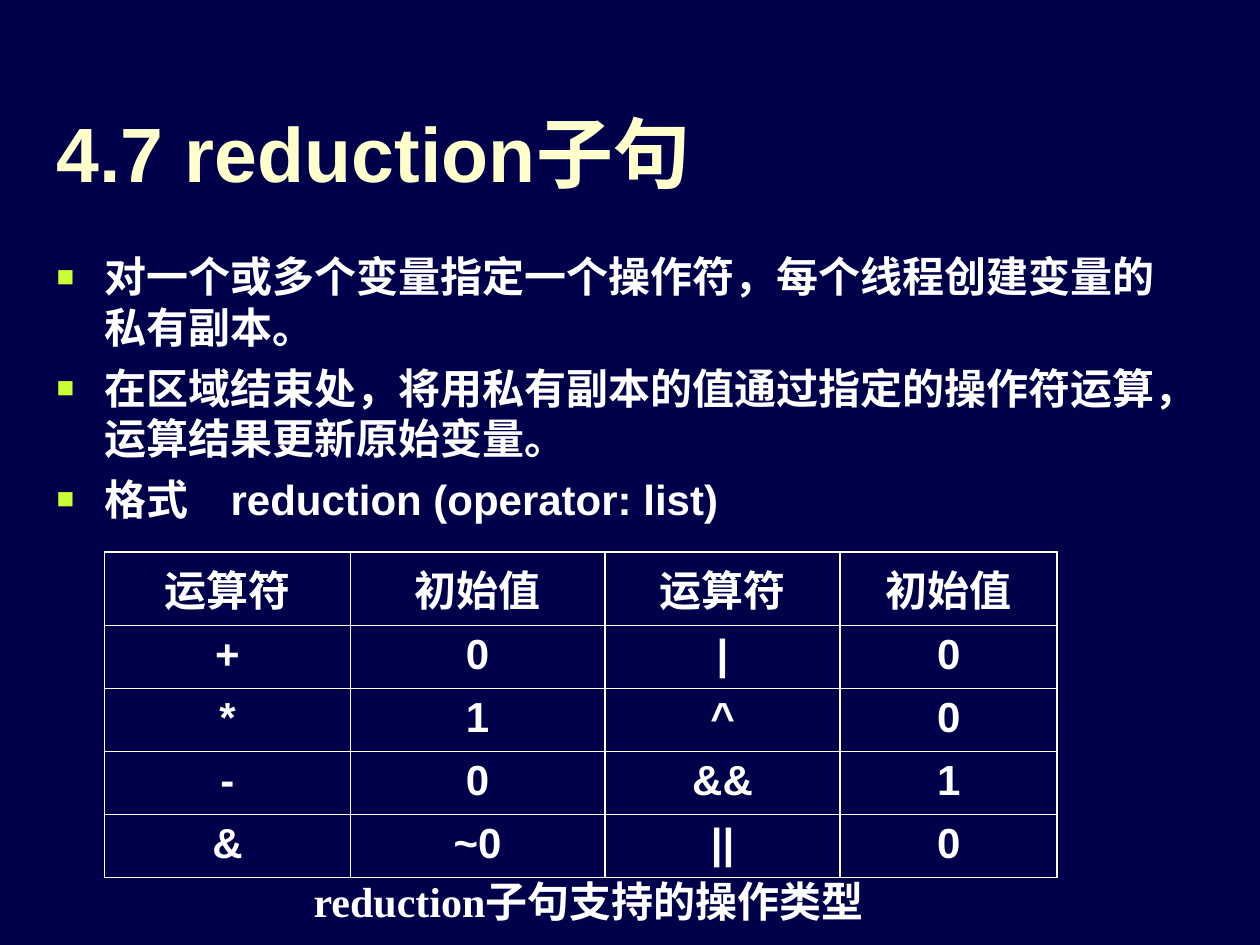
from lxml import etree
from pptx import Presentation
from pptx import util as u
from pptx.dml.color import RGBColor
from pptx.enum import text
from pptx.oxml.ns import qn

COLUMNS, ROWS = 100, 75
NAVY, CREAM, WHITE, LIME = "00004B", "FFFFCC", "FFFFFF", "CCFF33"
THICK, THIN = 1.08, 0.45


def colour(value):
    return RGBColor.from_string(value)


def add_element(parent, tag, **attributes):
    return etree.SubElement(parent, qn(tag), attributes)


class SlideBuilder:
    """Holds the deck, its page and the text style; places are in grid units."""

    def __init__(self):
        self.deck = Presentation()
        self.deck.slide_width, self.deck.slide_height = u.Inches(10), u.Inches(7.5)
        self.page = self.deck.slides.add_slide(self.deck.slide_layouts[1])
        fill = self.page.background.fill
        fill.solid()
        fill.fore_color.rgb = colour(NAVY)
        self.font = {"name": "Arial", "size": u.Pt(24), "bold": True}

    def grid(self, left, top, width, height):
        column, row = self.deck.slide_width / COLUMNS, self.deck.slide_height / ROWS
        return [u.Emu(round(n * unit))
                for n, unit in zip((left, top, width, height), (column, row) * 2)]

    def move(self, shape, *place):
        names = ("left", "top", "width", "height")
        for name, value in zip(names, self.grid(*place)):
            setattr(shape, name, value)

    def add_words(self, para, words, hue=WHITE, align=text.PP_ALIGN.LEFT, **changes):
        span = para.add_run()
        span.text = words
        para.alignment = align
        for name, value in (self.font | changes).items():
            setattr(span.font, name, value)
        span.font.color.rgb = colour(hue)

    def title(self, words, *place):
        box = self.page.shapes.title
        self.move(box, *place)
        frame = box.text_frame
        frame.auto_size = text.MSO_AUTO_SIZE.NONE
        frame.vertical_anchor = text.MSO_ANCHOR.BOTTOM
        self.add_words(frame.paragraphs[0], words, CREAM, size=u.Pt(44))

    def bullets(self, items, *place):
        box = self.page.placeholders[1]
        self.move(box, *place)
        frame = box.text_frame
        frame.auto_size = text.MSO_AUTO_SIZE.NONE
        for index, words in enumerate(items):
            para = frame.add_paragraph() if index else frame.paragraphs[0]
            para.space_before = u.Pt(6 if index else 0)
            props = para._p.get_or_add_pPr()
            props.set("marL", str(u.Inches(0.38)))
            props.set("indent", str(u.Inches(-0.38)))
            add_element(add_element(props, "a:buClr"), "a:srgbClr", val=LIME)
            add_element(props, "a:buSzPct", val="70000")
            add_element(props, "a:buFont", typeface="Arial")
            add_element(props, "a:buChar", char="■")
            self.add_words(para, words)

    def borders(self, cell, widths):
        """Draw the cell's sides; widths maps L, R, T and B to points."""
        props = cell._tc.get_or_add_tcPr()
        for index, (side, width) in enumerate(widths.items()):
            line = etree.Element(qn(f"a:ln{side}"), w=str(u.Pt(width)))
            add_element(add_element(line, "a:solidFill"), "a:srgbClr", val=WHITE)
            props.insert(index, line)

    def table(self, rows, column_widths, *place):
        frame = self.page.shapes.add_table(len(rows), len(rows[0]), *self.grid(*place))
        table = frame.table
        table.first_row = table.horz_banding = False
        for column, width in zip(table.columns, column_widths):
            column.width = self.grid(0, 0, width, 0)[2]
        for r, row in enumerate(rows):
            for c, words in enumerate(row):
                cell = table.cell(r, c)
                cell.fill.background()
                self.add_words(cell.text_frame.paragraphs[0], words,
                               align=text.PP_ALIGN.CENTER)
                self.borders(cell, {"L": THIN if c == 1 else THICK,
                                    "R": THIN if c == 0 else THICK,
                                    "T": THIN if r else THICK,
                                    "B": THIN})

    def caption(self, words, *place):
        frame = self.page.shapes.add_textbox(*self.grid(*place)).text_frame
        frame.word_wrap = False
        frame.auto_size = text.MSO_AUTO_SIZE.SHAPE_TO_FIT_TEXT
        self.add_words(frame.paragraphs[0], words, name="Times New Roman")


def main():
    builder = SlideBuilder()
    builder.title("4.7 reduction子句", 3.5, 7.9, 94.5, 8.3)
    builder.bullets([
        "对一个或多个变量指定一个操作符，每个线程创建变量的私有副本。",
        "在区域结束处，将用私有副本的值通过指定的操作符运算，运算结果更新原始变量。",
        "格式　reduction (operator: list)",
    ], 3.5, 19.4, 89.8, 22.8)
    builder.table([
        ("运算符", "初始值") * 2,
        ("+", "0", "|", "0"),
        ("*", "1", "^", "0"),
        ("-", "0", "&&", "1"),
        ("&", "~0", "||", "0"),
    ], (19.5, 20.2, 18.7, 17.2), 8.3, 43.8, 75.6, 25)
    builder.caption("reduction子句支持的操作类型", 23.9, 69, 46.5, 5)
    builder.deck.save("out.pptx")


if __name__ == "__main__":
    main()
